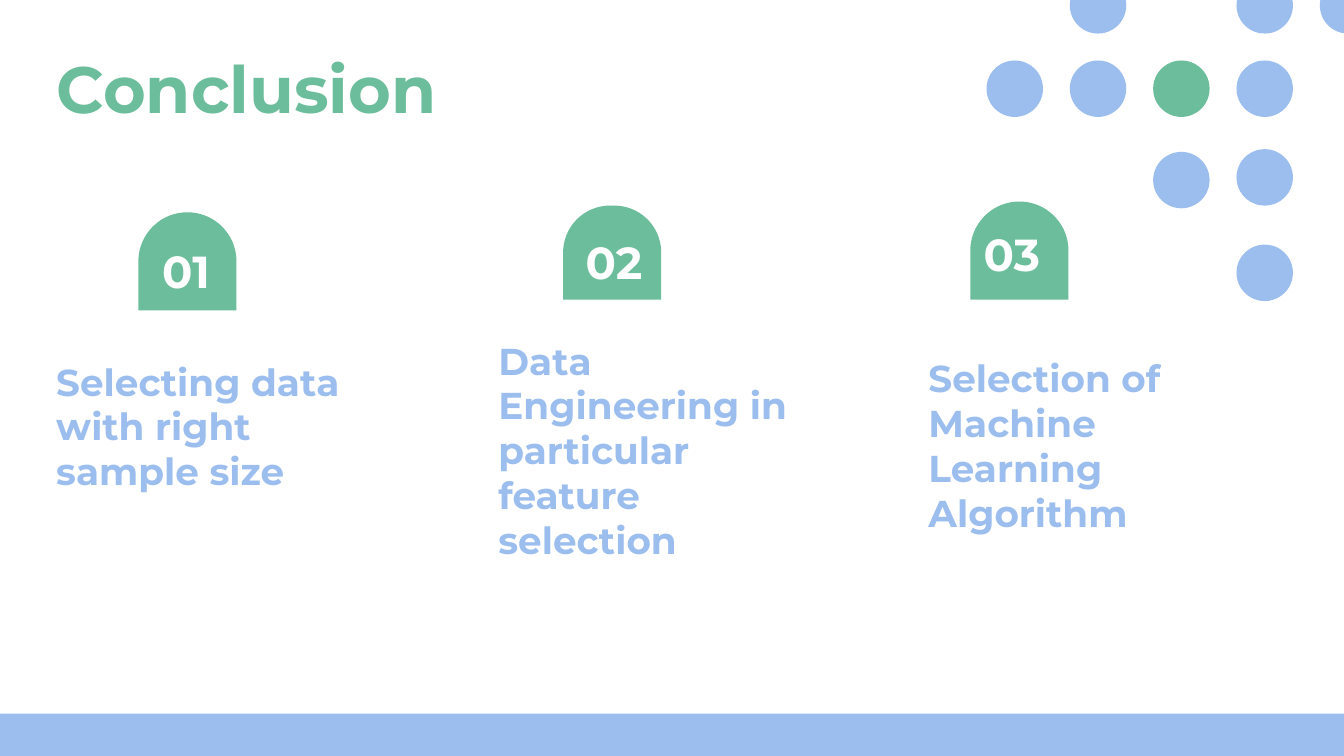
from dataclasses import dataclass

from pptx import Presentation
from pptx.dml.color import RGBColor
from pptx.enum.shapes import MSO_SHAPE as Preset
from pptx.enum.text import MSO_ANCHOR as Anchor
from pptx.enum.text import MSO_AUTO_SIZE as AutoSize
from pptx.enum.text import PP_ALIGN as Align
from pptx.util import Inches, Pt

BLUE = "9BBEEE"
GREEN = "6BBD9B"
WHITE = "FFFFFF"
SLIDE_WIDTH = 10
SLIDE_HEIGHT = SLIDE_WIDTH * 9 / 16
BAND_TOP = 5.31
INSET = 0.1
DOT_SIZE = 0.42
DOT_LEFT = 7.34
DOT_STEP = 0.62


@dataclass(frozen=True)
class Area:
    left: float
    top: float
    width: float
    height: float

    def lengths(self) -> tuple:
        return tuple(Inches(v) for v in (self.left, self.top, self.width, self.height))


@dataclass(frozen=True)
class Style:
    size: int
    color: str
    anchor: Anchor
    align: Align = Align.LEFT


@dataclass(frozen=True)
class Finding:
    number: str
    caption: str
    badge: Area
    number_area: Area
    caption_area: Area
    number_align: Align = Align.LEFT


@dataclass(frozen=True)
class Dot:
    column: int
    top: float
    color: str = BLUE


FINDINGS = [
    Finding("01", "Selecting data with right sample size",
            Area(1.03, 1.58, 0.73, 0.73), Area(1.02, 1.69, 0.73, 0.65),
            Area(0.32, 2.51, 2.55, 1.26), Align.CENTER),
    Finding("02", "Data Engineering in particular feature selection",
            Area(4.19, 1.53, 0.73, 0.7), Area(4.26, 1.62, 0.63, 0.65),
            Area(3.61, 3.64, 2.55, 0.64)),
    Finding("03", "Selection of Machine Learning Algorithm",
            Area(7.22, 1.5, 0.73, 0.73), Area(7.22, 1.56, 0.63, 0.65),
            Area(6.81, 2.48, 2.72, 1.6)),
]

DOTS = [
    Dot(1, -0.17), Dot(3, -0.17), Dot(4, -0.17),
    Dot(0, 0.45), Dot(1, 0.45), Dot(2, 0.45, GREEN), Dot(3, 0.45),
    Dot(2, 1.13), Dot(3, 1.11),
    Dot(3, 1.82),
]

TITLE_STYLE = Style(35, GREEN, Anchor.TOP)
CAPTION_STYLE = Style(20, BLUE, Anchor.BOTTOM)


def rgb(color: str) -> RGBColor:
    return RGBColor.from_string(color)


def apply_format(target, values: dict) -> None:
    for name, value in values.items():
        setattr(target, name, value)


def add_solid(shapes, preset: Preset, area: Area, color: str):
    shape = shapes.add_shape(preset, *area.lengths())
    shape.shadow.inherit = False
    shape.fill.solid()
    shape.fill.fore_color.rgb = rgb(color)
    shape.line.fill.background()
    return shape


def write(box, text: str, style: Style) -> None:
    frame = box.text_frame
    margins = {f"margin_{side}": Inches(INSET)
               for side in ("left", "top", "right", "bottom")}
    apply_format(frame, {"word_wrap": True, "auto_size": AutoSize.NONE,
                         "vertical_anchor": style.anchor, **margins})
    para = frame.paragraphs[0]
    para.alignment = style.align
    span = para.add_run()
    span.text = text
    apply_format(span.font, {"name": "Montserrat", "size": Pt(style.size), "bold": True})
    span.font.color.rgb = rgb(style.color)


def add_text(page, area: Area, text: str, style: Style) -> None:
    write(page.shapes.add_textbox(*area.lengths()), text, style)


def add_title(page, area: Area, text: str) -> None:
    title = page.shapes.title
    apply_format(title, dict(zip(("left", "top", "width", "height"), area.lengths())))
    write(title, text, TITLE_STYLE)


def add_finding(page, finding: Finding) -> None:
    badge = add_solid(page.shapes, Preset.ROUND_2_SAME_RECTANGLE, finding.badge, GREEN)
    badge.adjustments[0] = 0.5
    badge.adjustments[1] = 0
    number_style = Style(24, WHITE, Anchor.MIDDLE, finding.number_align)
    add_text(page, finding.number_area, finding.number, number_style)
    add_text(page, finding.caption_area, finding.caption, CAPTION_STYLE)


def add_dots(page, dots: list[Dot]) -> None:
    group = page.shapes.add_group_shape()
    for dot in dots:
        area = Area(DOT_LEFT + dot.column * DOT_STEP, dot.top, DOT_SIZE, DOT_SIZE)
        add_solid(group.shapes, Preset.OVAL, area, dot.color)


def main() -> None:
    deck = Presentation()
    apply_format(deck, {"slide_width": Inches(SLIDE_WIDTH),
                        "slide_height": Inches(SLIDE_HEIGHT)})
    page = deck.slides.add_slide(deck.slide_layouts[5])
    band = Area(0, BAND_TOP, SLIDE_WIDTH, SLIDE_HEIGHT - BAND_TOP)
    add_solid(page.shapes, Preset.RECTANGLE, band, BLUE)
    add_title(page, Area(0.32, 0.26, 8.43, 0.63), "Conclusion")
    for finding in FINDINGS:
        add_finding(page, finding)
    add_dots(page, DOTS)
    deck.save("out.pptx")


if __name__ == "__main__":
    main()
